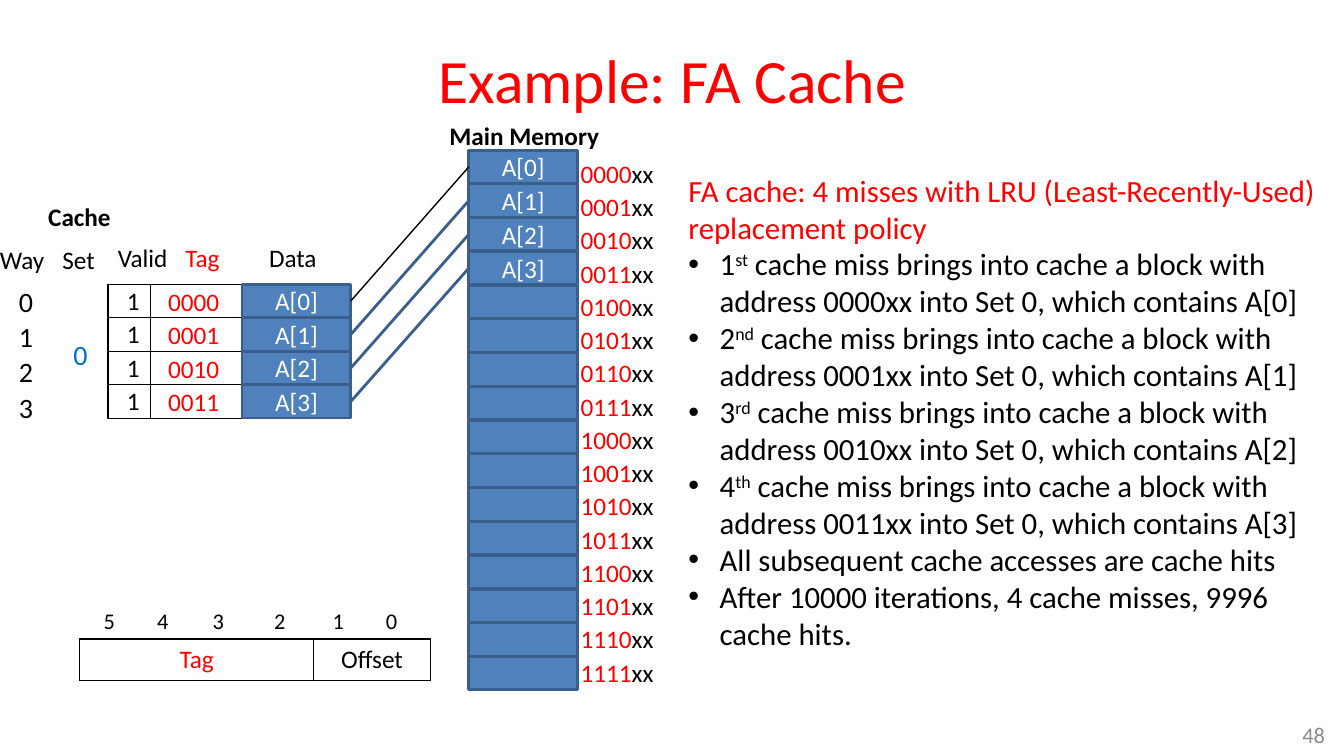
from lxml import etree
from pptx import Presentation
from pptx.dml.color import RGBColor
from pptx.enum.shapes import MSO_CONNECTOR, MSO_SHAPE
from pptx.enum.text import MSO_ANCHOR, PP_ALIGN
from pptx.oxml.ns import qn
from pptx.util import Inches, Pt

RED = RGBColor(0xFF, 0x00, 0x00)
BLACK = RGBColor(0x00, 0x00, 0x00)
WHITE = RGBColor(0xFF, 0xFF, 0xFF)
BLUE = RGBColor(0x4F, 0x81, 0xBD)
EDGE = RGBColor(0x3A, 0x5F, 0x8C)
SET_BLUE = RGBColor(0x00, 0x70, 0xC0)
GRAY = RGBColor(0x8C, 0x8C, 0x8C)
LEFT, CENTER, RIGHT = PP_ALIGN.LEFT, PP_ALIGN.CENTER, PP_ALIGN.RIGHT
TOP, MIDDLE = MSO_ANCHOR.TOP, MSO_ANCHOR.MIDDLE
RECT, STRAIGHT = MSO_SHAPE.RECTANGLE, MSO_CONNECTOR.STRAIGHT
SIDE_LEFT, SIDE_RIGHT = 1, 3


def add_text(p, text, size=18, color=BLACK, bold=False, raised=False):
    r = p.add_run()
    r.text = text
    r.font.name = "Calibri"
    r.font.size = Pt(size)
    r.font.bold = bold
    r.font.color.rgb = color
    if raised:
        r._r.get_or_add_rPr().set("baseline", "30000")


class Slide:
    def __init__(self, prs):
        self.s = prs.slides.add_slide(prs.slide_layouts[6])

    def box(self, x, y, w, h, wrap=False, anchor=TOP):
        tf = self.s.shapes.add_textbox(Inches(x), Inches(y), Inches(w), Inches(h)).text_frame
        tf.word_wrap = wrap
        tf.vertical_anchor = anchor
        return tf

    def label(self, text, x, y, w, h=0.4, align=LEFT, wrap=False, anchor=TOP, **fmt):
        p = self.box(x, y, w, h, wrap, anchor).paragraphs[0]
        p.alignment = align
        add_text(p, text, **fmt)

    def rect(self, x, y, w, h, line=BLACK, width=1, fill=None, text=""):
        sp = self.s.shapes.add_shape(RECT, Inches(x), Inches(y), Inches(w), Inches(h))
        sp.shadow.inherit = False
        sp.line.color.rgb = line
        sp.line.width = Pt(width)
        if fill is None:
            sp.fill.background()
        else:
            sp.fill.solid()
            sp.fill.fore_color.rgb = fill
        if text:
            tf = sp.text_frame
            tf.word_wrap = False
            tf.vertical_anchor = MIDDLE
            tf.paragraphs[0].alignment = CENTER
            add_text(tf.paragraphs[0], text, color=WHITE)
        return sp

    def block(self, x, y, text=""):
        return self.rect(x, y, 1.08, 0.33, EDGE, 2, BLUE, text)

    def line(self, x1, y1, x2, y2, color=BLACK, width=1):
        c = self.s.shapes.add_connector(STRAIGHT, Inches(x1), Inches(y1), Inches(x2), Inches(y2))
        c.line.color.rgb = color
        c.line.width = Pt(width)
        etree.SubElement(c._element.spPr, qn("a:effectLst"))
        return c

    def link(self, start, start_side, end, end_side, **style):
        c = self.line(0, 0, 1, 1, **style)
        c.begin_connect(start, start_side)
        c.end_connect(end, end_side)

    def column(self, x, y, w, h, rows):
        frame = self.rect(x, y, w, h)
        for i in range(1, rows):
            if 2 * i == rows:
                self.link(frame, SIDE_LEFT, frame, SIDE_RIGHT)
            else:
                self.line(x, y + i * h / rows, x + w, y + i * h / rows)

    def bullet(self, tf, runs, size):
        p = tf.add_paragraph()
        pPr = p._p.get_or_add_pPr()
        pPr.set("marL", str(Inches(0.31)))
        pPr.set("indent", str(-Inches(0.31)))
        etree.SubElement(pPr, qn("a:buFont"), typeface="Arial")
        etree.SubElement(pPr, qn("a:buChar"), char="•")
        for text, raised in runs:
            add_text(p, text, size=size, raised=raised)

    def table(self, x, y, widths, height, cells):
        frame = self.s.shapes.add_table(1, len(widths), Inches(x), Inches(y),
                                        Inches(sum(widths)), Inches(height))
        tbl = frame.table
        tbl.first_row = tbl.horz_banding = False
        for i, (text, color) in enumerate(cells):
            tbl.columns[i].width = Inches(widths[i])
            cell = tbl.cell(0, i)
            tcPr = cell._tc.get_or_add_tcPr()
            for side in ("lnL", "lnR", "lnT", "lnB"):
                ln = etree.SubElement(tcPr, qn("a:" + side), w=str(Pt(1)))
                fill = etree.SubElement(ln, qn("a:solidFill"))
                etree.SubElement(fill, qn("a:srgbClr"), val=str(BLACK))
            cell.fill.background()
            cell.vertical_anchor = TOP
            p = cell.text_frame.paragraphs[0]
            p.alignment = CENTER
            add_text(p, text, color=color)


def main():
    prs = Presentation()
    prs.slide_width, prs.slide_height = Inches(13.33), Inches(7.5)
    slide = Slide(prs)

    # Title and headings
    slide.label("Example: FA Cache", 0.67, 0.16, 12, 1.25, align=CENTER, wrap=True,
                anchor=MIDDLE, size=44, color=RED)
    slide.label("Cache", 0.38, 1.95, 0.83, bold=True)
    slide.label("Main Memory", 4.36, 1.14, 1.7, bold=True)
    for text, x, y, w, color in (("Way", -0.1, 2.37, 0.65, BLACK), ("Set", 0.52, 2.37, 0.53, BLACK),
                                 ("Valid", 1.07, 2.36, 0.7, BLACK), ("Tag", 1.74, 2.36, 0.54, RED),
                                 ("Data", 2.57, 2.35, 0.68, BLACK)):
        slide.label(text, x, y, w, color=color)

    # Main memory blocks and their addresses
    memory = [slide.block(4.65, 1.49 + 0.335 * i, f"A[{i}]" if i < 4 else "") for i in range(16)]
    tf = slide.box(5.66, 1.49, 1.08, 5.43, wrap=True)
    for i in range(16):
        p = tf.paragraphs[0] if i == 0 else tf.add_paragraph()
        p.line_spacing = 1.1
        add_text(p, f"{i:04b}", color=RED)
        add_text(p, "xx")

    # Cache: valid and tag columns, then the filled ways
    slide.column(1.07, 2.82, 0.42, 1.33, 4)
    slide.column(1.49, 2.82, 0.92, 1.33, 4)
    slide.label("0", 0.63, 3.3, 0.34, 0.44, size=20, color=SET_BLUE)
    for way in range(4):
        dy = way * 1.33 / 4
        slide.label(str(way), 0.09, 2.77 + 0.35 * way, 0.34, 0.44, size=20)
        slide.label("1", 1.16, 2.78 + dy, 0.33, anchor=MIDDLE)
        data = slide.block(2.4, 2.82 + dy, f"A[{way}]")
        style = {"color": EDGE, "width": 2} if way else {}
        slide.link(memory[way], SIDE_LEFT, data, SIDE_RIGHT, **style)
        slide.label(f"{way:04b}", 1.57, 2.79 + dy, 0.71, anchor=MIDDLE, color=RED)

    # Address fields with bit numbers
    for bit, x in zip("543210", (0.93, 1.46, 2.01, 2.62, 3.2, 3.73)):
        slide.label(bit, x, 5.97, 0.3, 0.37, size=16)
    slide.table(0.79, 6.34, (2.32, 1.16), 0.41, (("Tag", RED), ("Offset", BLACK)))

    # Explanation
    tf = slide.box(6.73, 1.65, 6.52, 5.28, wrap=True)
    add_text(tf.paragraphs[0], "FA cache: 4 misses with LRU (Least-Recently-Used) replacement policy",
             size=22, color=RED)
    for i, suffix in enumerate(("st", "nd", "rd", "th")):
        miss = (f" cache miss brings into cache a block with address {i:04b}xx into Set 0, "
                f"which contains A[{i}]")
        slide.bullet(tf, ((str(i + 1), False), (suffix, True), (miss, False)), 22)
    for text in ("All subsequent cache accesses are cache hits",
                 "After 10000 iterations, 4 cache misses, 9996 cache hits."):
        slide.bullet(tf, ((text, False),), 22)

    # Slide number
    slide.label("48", 12.57, 7.08, 0.67, 0.42, align=RIGHT, wrap=True, anchor=MIDDLE,
                size=16, color=GRAY)
    prs.save("out.pptx")


if __name__ == "__main__":
    main()
